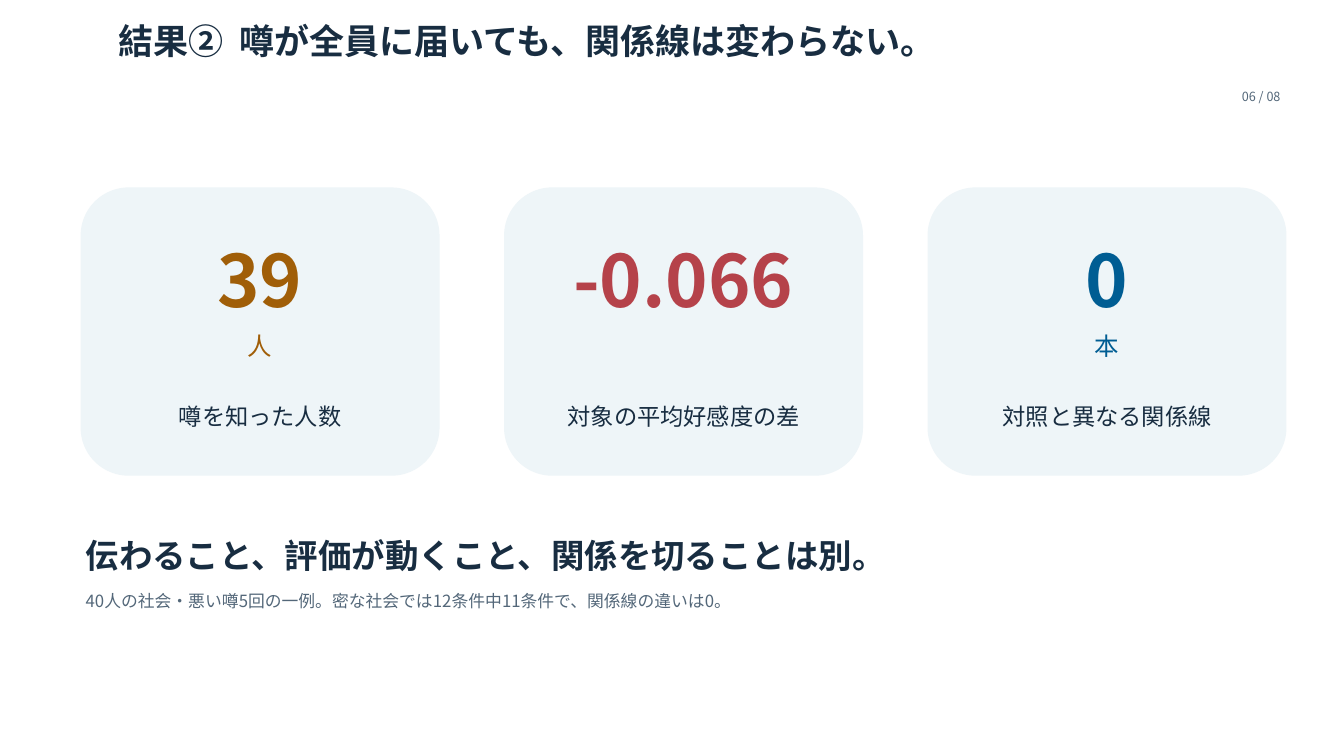
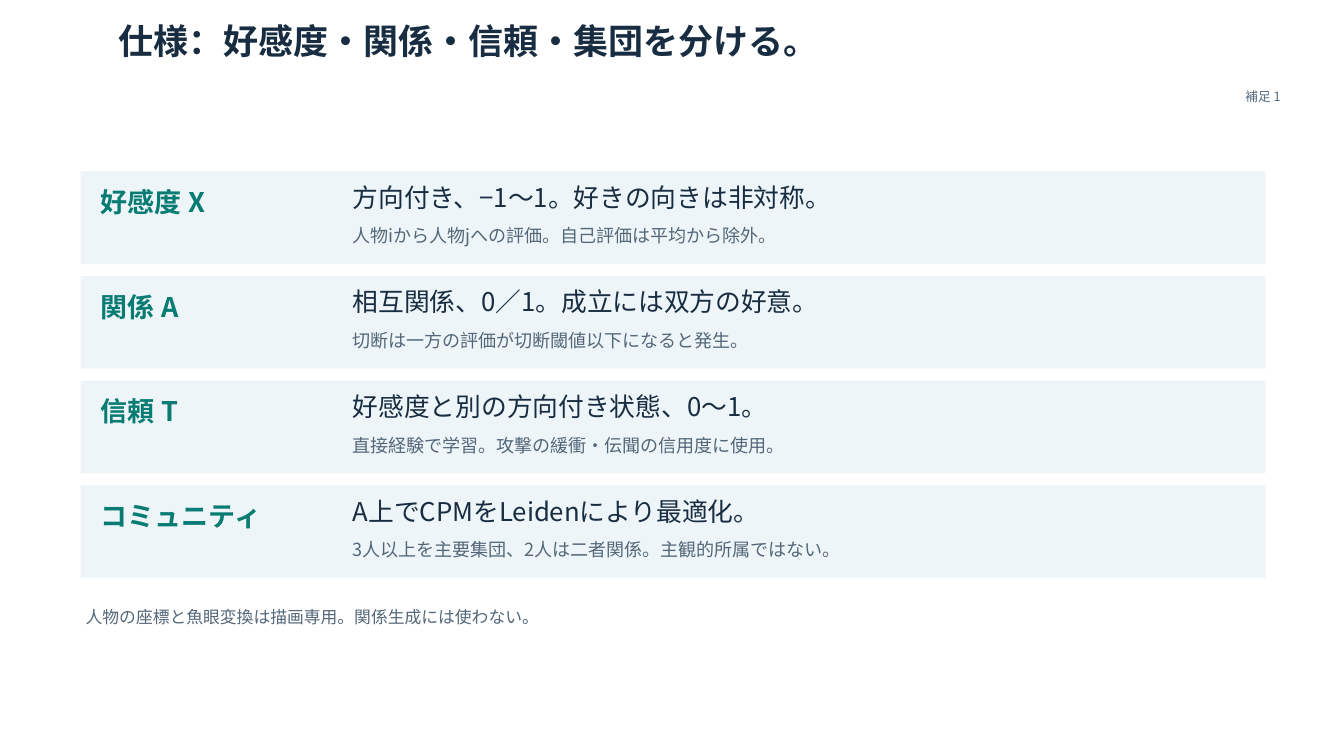
from dataclasses import dataclass
from typing import NamedTuple

from lxml.etree import SubElement
from pptx import Presentation
from pptx.dml.color import RGBColor as Rgb
from pptx.enum.shapes import MSO_SHAPE as Form
from pptx.enum.text import MSO_ANCHOR as Anchor, MSO_AUTO_SIZE as Fit, PP_ALIGN as Align
from pptx.oxml.ns import qn
from pptx.presentation import Presentation as Deck
from pptx.slide import Slide
from pptx.text.text import TextFrame
from pptx.util import Inches, Pt

UNIT = Inches(0.1)
WIDE, HIGH = 133.3, 75


class Style(NamedTuple):
    size: float
    color: str
    bold: bool = False
    align: Align = Align.LEFT
    after: float = 4.4


@dataclass(frozen=True)
class Theme:
    font: str = "Noto Sans CJK JP"
    panel: str = "EEF5F8"
    ink: str = "182D41"
    gray: str = "536779"
    teal: str = "087C73"
    amber: str = "A05E08"
    red: str = "B5424A"
    blue: str = "005D93"

    @property
    def title(self) -> Style:
        return Style(25, self.ink, True, after=5)

    @property
    def page(self) -> Style:
        return Style(9, self.gray, align=Align.RIGHT, after=5)

    @property
    def label(self) -> Style:
        return Style(16.6, self.ink, align=Align.CENTER)

    @property
    def claim(self) -> Style:
        return Style(23.9, self.ink, True)

    @property
    def term(self) -> Style:
        return Style(19.3, self.teal, True)

    @property
    def fact(self) -> Style:
        return Style(18.4, self.ink)

    @property
    def detail(self) -> Style:
        return Style(12.9, self.gray)

    @property
    def note(self) -> Style:
        return Style(12, self.gray)

    def value(self, color: str) -> Style:
        return Style(51.5, color, True, Align.CENTER)

    def mark(self, color: str) -> Style:
        return Style(17.5, color, align=Align.CENTER)


THEME = Theme()


class Box(NamedTuple):
    col: float
    row: float
    cols: float
    rows: float

    def inner(self, col: float, row: float, cols: float, rows: float) -> "Box":
        return Box(self.col + col, self.row + row, cols, rows)

    def place(self) -> list[int]:
        return [round(n * UNIT) for n in self]


class Card(NamedTuple):
    value: str
    mark: str
    label: str
    color: str


class Entry(NamedTuple):
    term: str
    fact: str
    detail: str


CARDS = [
    Card("39", "人", "噂を知った人数", THEME.amber),
    Card("-0.066", "", "対象の平均好感度の差", THEME.red),
    Card("0", "本", "対照と異なる関係線", THEME.blue),
]

ENTRIES = [
    Entry("好感度 X", "方向付き、−1〜1。好きの向きは非対称。",
          "人物iから人物jへの評価。自己評価は平均から除外。"),
    Entry("関係 A", "相互関係、0／1。成立には双方の好意。",
          "切断は一方の評価が切断閾値以下になると発生。"),
    Entry("信頼 T", "好感度と別の方向付き状態、0〜1。",
          "直接経験で学習。攻撃の緩衝・伝聞の信用度に使用。"),
    Entry("コミュニティ", "A上でCPMをLeidenにより最適化。",
          "3人以上を主要集団、2人は二者関係。主観的所属ではない。"),
]


def fill_text(frame: TextFrame, text: str, style: Style) -> None:
    frame.text = text
    frame.word_wrap = True
    frame.auto_size = Fit.SHAPE_TO_FIT_TEXT
    frame.vertical_anchor = Anchor.TOP
    frame.margin_left = frame.margin_right = 0
    frame.margin_top = frame.margin_bottom = 0
    for para in frame.paragraphs:
        para.alignment = style.align
        para.space_before = Pt(0)
        para.space_after = Pt(style.after)
        for run in para.runs:
            run.font.size = Pt(style.size)
            run.font.bold = style.bold
            run.font.color.rgb = Rgb.from_string(style.color)
            run.font.name = THEME.font
            SubElement(run.font._element, qn("a:ea"), typeface=THEME.font)


def add_text(slide: Slide, box: Box, text: str, style: Style) -> None:
    fill_text(slide.shapes.add_textbox(*box.place()).text_frame, text, style)


def add_panel(slide: Slide, box: Box, form: Form) -> None:
    panel = slide.shapes.add_shape(form, *box.place())
    panel.shadow.inherit = False
    panel.fill.solid()
    panel.fill.fore_color.rgb = Rgb.from_string(THEME.panel)
    panel.line.fill.background()


def add_page(deck: Deck, title: str, page: str) -> Slide:
    slide = deck.slides.add_slide(deck.slide_layouts.get_by_name("Title Only"))
    head = slide.shapes.title
    head.left, head.top, head.width, head.height = Box(11.8, 1.9, 110, 6.6).place()
    fill_text(head.text_frame, title, THEME.title)
    add_text(slide, Box(122, 8.8, 5, 2), page, THEME.page)
    return slide


def add_card(slide: Slide, box: Box, card: Card) -> None:
    add_panel(slide, box, Form.ROUNDED_RECTANGLE)
    add_text(slide, box.inner(1.5, 4.8, 32.5, 8.8), card.value, THEME.value(card.color))
    if card.mark:
        add_text(slide, box.inner(1.5, 14.2, 32.5, 3.5), card.mark, THEME.mark(card.color))
    add_text(slide, box.inner(1.2, 21.3, 33.2, 4.8), card.label, THEME.label)


def add_entry(slide: Slide, box: Box, entry: Entry) -> None:
    add_panel(slide, box, Form.RECTANGLE)
    add_text(slide, box.inner(2, 1.4, 24, 4.4), entry.term, THEME.term)
    add_text(slide, box.inner(27, 1, 87, 3.9), entry.fact, THEME.fact)
    add_text(slide, box.inner(27, 5.3, 87, 3.1), entry.detail, THEME.detail)


def add_result(deck: Deck) -> None:
    slide = add_page(deck, "結果②  噂が全員に届いても、関係線は変わらない。", "06 / 08")
    for i, card in enumerate(CARDS):
        add_card(slide, Box(8 + 42 * i, 18.6, 35.6, 28.6), card)
    add_text(slide, Box(8.5, 53.1, 117, 4.8),
             "伝わること、評価が動くこと、関係を切ることは別。", THEME.claim)
    add_text(slide, Box(8.5, 58.6, 118, 2.6),
             "40人の社会・悪い噂5回の一例。密な社会では12条件中11条件で、関係線の違いは0。",
             THEME.note)


def add_specs(deck: Deck) -> None:
    slide = add_page(deck, "仕様：好感度・関係・信頼・集団を分ける。", "補足 1")
    for i, entry in enumerate(ENTRIES):
        add_entry(slide, Box(8, 17 + 10.38 * i, 117.5, 9.2), entry)
    add_text(slide, Box(8.5, 60.2, 114, 2.6),
             "人物の座標と魚眼変換は描画専用。関係生成には使わない。", THEME.note)


def main() -> None:
    deck = Presentation()
    deck.slide_width, deck.slide_height = round(WIDE * UNIT), round(HIGH * UNIT)
    add_result(deck)
    add_specs(deck)
    deck.save("out.pptx")


if __name__ == "__main__":
    main()
